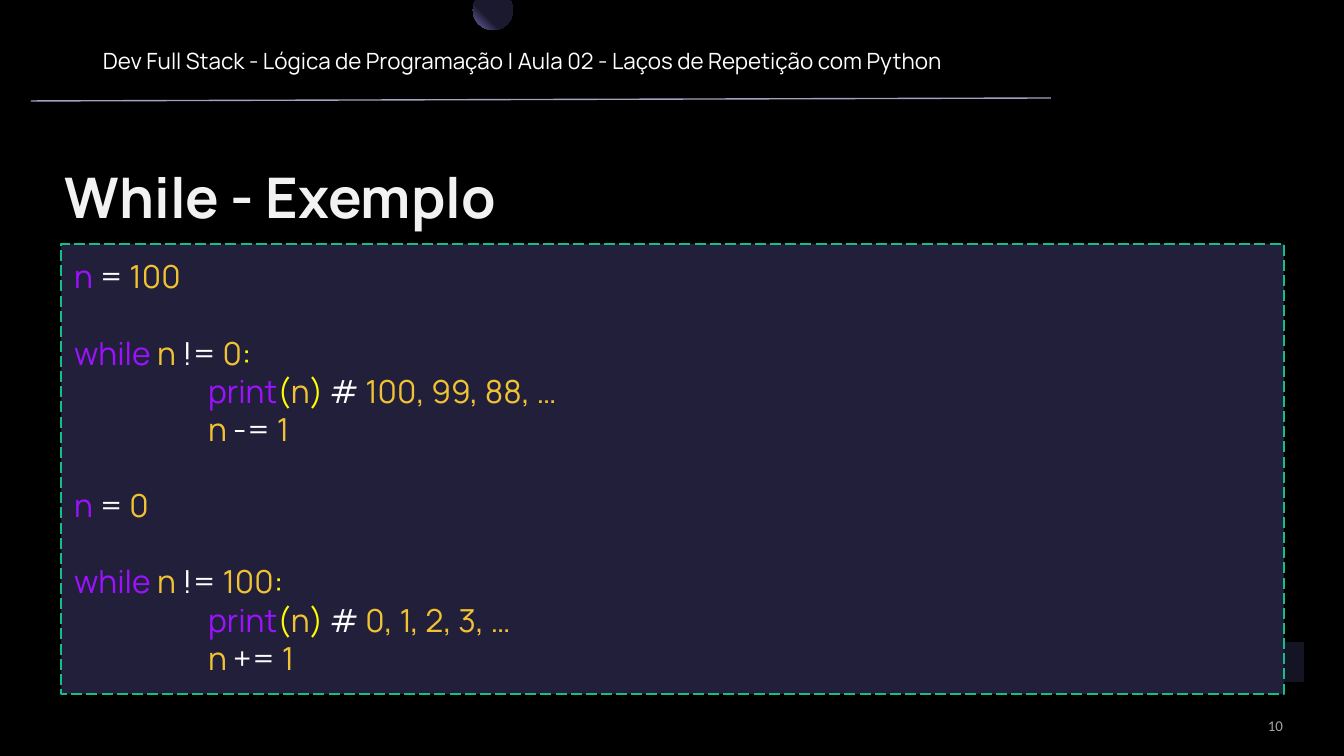
import math
from dataclasses import dataclass

from pptx import Presentation, util as u
from pptx.dml.color import RGBColor
from pptx.enum import dml, shapes, text
from pptx.oxml import parse_xml
from pptx.oxml.ns import nsdecls, qn
from lxml import etree

SCALE = u.Inches(10) / 1344


@dataclass(frozen=True)
class Theme:
    font: str = "Manrope"
    number_font: str = "Calibri"
    background: str = "000000"
    panel: str = "221F3B"
    dark: str = "1B192E"
    glow: str = "746EB3"
    border: str = "13BE89"
    rule: str = "A3A3C1"
    title: str = "F2F2F2"
    white: str = "FFFFFF"
    grey: str = "A5A5A5"
    purple: str = "9C12FF"
    gold: str = "F1C232"
    yellow: str = "FFFF00"
    title_size: int = 30
    code_size: int = 17
    header_size: int = 12
    number_size: int = 8
    code_gap: float = 20.5


THEME = Theme()


def px(value):
    return u.Emu(round(value * SCALE))


def rgb(value):
    return RGBColor.from_string(value)


def apply(target, values):
    for name, value in values.items():
        setattr(target, name, value)


class SlideBuilder:
    def __init__(self, page, theme):
        self.page = page
        self.theme = theme
        page.background.fill.solid()
        page.background.fill.fore_color.rgb = rgb(theme.background)

    def rectangle(self, left, top, width, height, color, alpha=None):
        box = self.page.shapes.add_shape(
            shapes.MSO_SHAPE.RECTANGLE, *map(px, (left, top, width, height)))
        box.shadow.inherit = False
        box.fill.solid()
        box.fill.fore_color.rgb = rgb(color)
        box.line.fill.background()
        if alpha is not None:
            solid = box.fill._xPr.find(qn("a:solidFill"))
            etree.SubElement(solid[0], qn("a:alpha"), val=str(alpha * 1000))
        return box

    def moon(self, center_x, center_y, radius):
        """Draw a disc cut off by the top edge, lit from the lower left."""
        cut = math.asin(center_y / radius)
        steps = 60
        angles = [-cut + (math.pi + 2 * cut) * i / steps for i in range(steps + 1)]
        points = [(px(center_x + radius * math.cos(a)),
                   max(0, px(center_y + radius * math.sin(a)))) for a in angles]
        builder = self.page.shapes.build_freeform(*points[0], scale=1.0)
        builder.add_line_segments(points[1:], close=True)
        disc = builder.convert_to_shape()
        disc.shadow.inherit = False
        disc.line.fill.background()
        disc.fill.background()
        stops = "".join(
            f'<a:gs pos="{pos * 1000}"><a:srgbClr val="{color}"/></a:gs>'
            for pos, color in ((0, self.theme.dark), (60, self.theme.dark),
                               (100, self.theme.glow)))
        gradient = parse_xml(
            f'<a:gradFill {nsdecls("a")}><a:gsLst>{stops}</a:gsLst>'
            '<a:path path="circle"><a:fillToRect l="100000" b="100000"/></a:path>'
            '</a:gradFill>')
        properties = disc._element.spPr
        properties.replace(properties.find(qn("a:noFill")), gradient)

    def line(self, start, end, color):
        rule = self.page.shapes.add_connector(
            shapes.MSO_CONNECTOR.STRAIGHT, *map(px, (*start, *end)))
        rule.line.color.rgb = rgb(color)
        rule.line.width = u.Pt(0.75)
        etree.SubElement(rule._element.spPr, qn("a:effectLst"))

    def frame(self, box, margins, anchor=text.MSO_ANCHOR.TOP):
        """Set wrapping, anchor and (horizontal, vertical) margins in px."""
        side, edge = map(px, margins)
        apply(box.text_frame, {
            "word_wrap": True, "vertical_anchor": anchor,
            "margin_left": side, "margin_right": side,
            "margin_top": edge, "margin_bottom": edge})
        return box.text_frame

    def span(self, para, words, size, color, font=None, bold=False):
        span = para.add_run()
        span.text = words
        apply(span.font, {"name": font or self.theme.font,
                          "size": u.Pt(size), "bold": bold})
        span.font.color.rgb = rgb(color)

    def label(self, bounds, words, size, color, margins=(13, 13),
              anchor=text.MSO_ANCHOR.TOP, layout=None, **style):
        box = self.page.shapes.add_textbox(*map(px, bounds))
        para = self.frame(box, margins, anchor).paragraphs[0]
        apply(para, layout or {})
        self.span(para, words, size, color, **style)

    def code(self, bounds, blocks, tab):
        """Fill a dashed panel with blocks of coloured code lines."""
        theme = self.theme
        box = self.rectangle(*bounds, theme.panel)
        box.line.color.rgb = rgb(theme.border)
        apply(box.line, {"width": u.Pt(0.75),
                         "dash_style": dml.MSO_LINE.LONG_DASH})
        frame = self.frame(box, (13, 13))
        for block_index, block in enumerate(blocks):
            for line_index, tokens in enumerate(block):
                first = block_index == line_index == 0
                para = frame.paragraphs[0] if first else frame.add_paragraph()
                para.alignment = text.PP_ALIGN.LEFT
                if block_index and not line_index:
                    para.space_before = u.Pt(theme.code_gap)
                if tokens[0][0].startswith("\t"):
                    stops = etree.SubElement(
                        para._p.get_or_add_pPr(), qn("a:tabLst"))
                    etree.SubElement(
                        stops, qn("a:tab"), pos=str(px(tab)), algn="l")
                for words, color in tokens:
                    self.span(para, words, theme.code_size, color)


def assignment(value):
    return [[("n ", THEME.purple), ("= ", THEME.white), (value, THEME.gold)]]


def while_loop(limit, output, operator):
    purple, gold, yellow, white = (
        THEME.purple, THEME.gold, THEME.yellow, THEME.white)
    return [
        [("while ", purple), ("n ", gold), ("!=", white),
         (f" {limit}", gold), (":", yellow)],
        [("\tprint", purple), ("(", yellow), ("n", gold), (") ", yellow),
         ("# ", white), (output, gold)],
        [("\tn ", gold), (operator, white), (" 1", gold)],
    ]


def main():
    deck = Presentation()
    apply(deck, {"slide_width": px(1344), "slide_height": px(756)})
    page = deck.slides.add_slide(deck.slide_layouts[6])
    slide = SlideBuilder(page, THEME)

    slide.rectangle(1262, 642, 42, 40, THEME.dark, alpha=80)
    slide.label((1096, 717, 187, 17), "10", THEME.number_size, THEME.grey,
                margins=(0, 0), anchor=text.MSO_ANCHOR.MIDDLE,
                layout={"alignment": text.PP_ALIGN.RIGHT},
                font=THEME.number_font)
    slide.moon(493, 10, 20)
    slide.label((52, 122, 1257, 82), "While - Exemplo",
                THEME.title_size, THEME.title, margins=(13, 7),
                layout={"line_spacing": 1.5, "space_after": u.Pt(9)}, bold=True)
    slide.line((31, 101), (1051, 98), THEME.rule)
    slide.label((90, 34, 1142, 54),
                "Dev Full Stack - Lógica de Programação | "
                "Aula 02 - Laços de Repetição com Python",
                THEME.header_size, THEME.white)
    slide.code((61, 244, 1223, 450), [
        assignment("100"),
        while_loop("0", "100, 99, 88, …", "-="),
        assignment("0"),
        while_loop("100", "0, 1, 2, 3, …", "+="),
    ], tab=134)
    deck.save("out.pptx")


if __name__ == "__main__":
    main()
